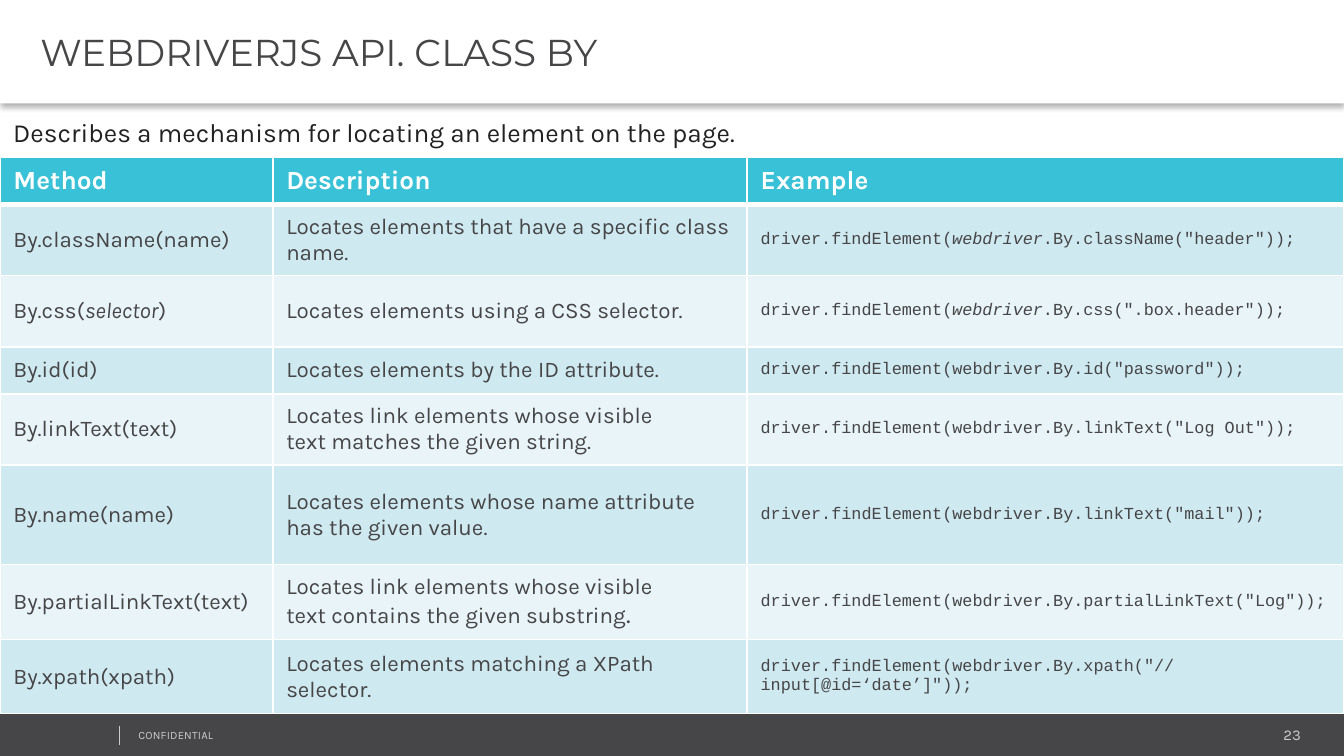
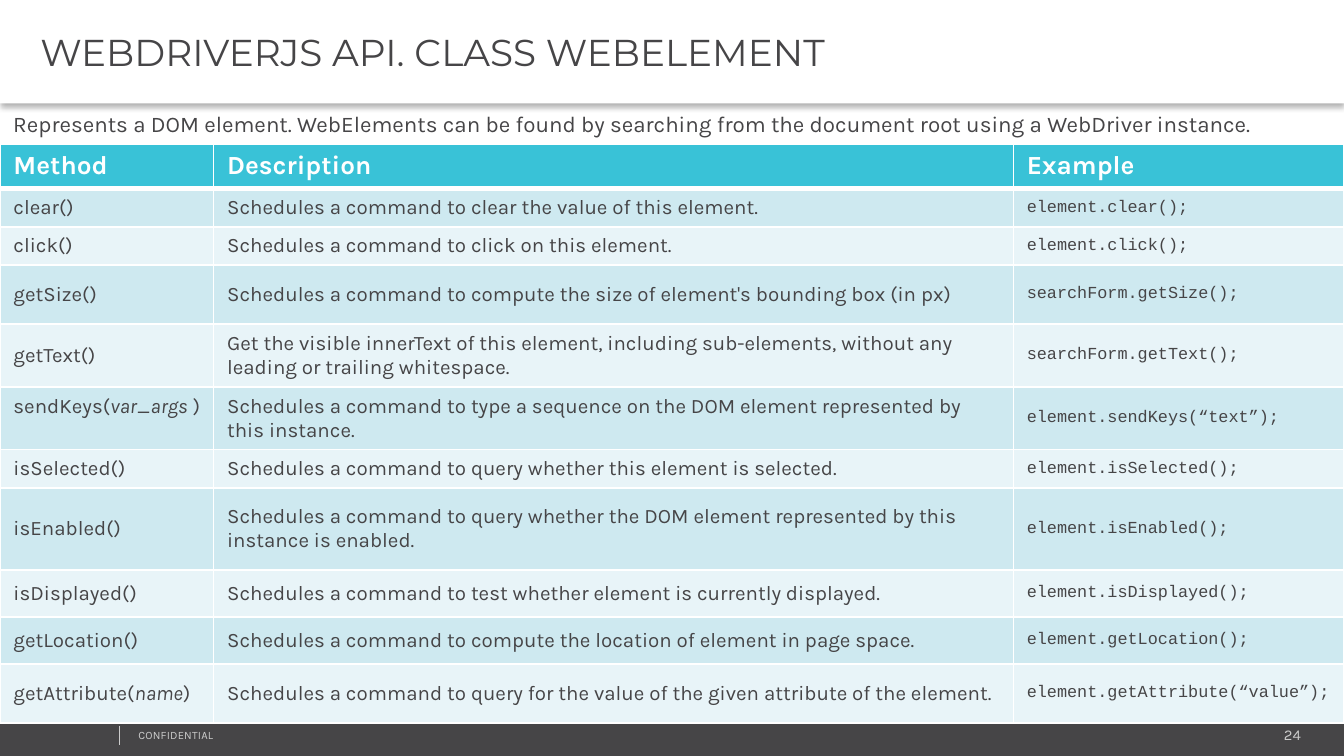
"""Build two slides of method tables for the WebDriverJS API."""
import lxml.etree
import pptx
import pptx.dml.color
import pptx.enum.shapes
import pptx.enum.text
import pptx.oxml
import pptx.oxml.ns
import pptx.util

Inches = pptx.util.Inches
Pt = pptx.util.Pt
RGBColor = pptx.dml.color.RGBColor
Kind = pptx.enum.shapes.MSO_SHAPE
Align = pptx.enum.text.PP_ALIGN
Anchor = pptx.enum.text.MSO_ANCHOR
qn = pptx.oxml.ns.qn

WHITE = RGBColor(0xFF, 0xFF, 0xFF)
DARK = RGBColor(0x46, 0x45, 0x47)
BLACK = RGBColor(0x21, 0x21, 0x21)
PALE = RGBColor(0xCC, 0xCC, 0xCC)
TEAL = RGBColor(0x39, 0xC2, 0xD7)
BANDS = [RGBColor(0xE8, 0xF4, 0xF8), RGBColor(0xCE, 0xE9, 0xF0)]
SANS, HEAD, CODE = "Karla", "Montserrat", "Courier New"
HARD = chr(160)

SHADE = """<a:effectLst xmlns:a="http://schemas.openxmlformats.org/drawingml/2006/main">
<a:outerShdw blurRad="39370" dist="25400" dir="5400000" algn="t" rotWithShape="0">
<a:srgbClr val="000000"><a:alpha val="30000"/></a:srgbClr></a:outerShdw></a:effectLst>"""
EDGE = """<a:{} xmlns:a="http://schemas.openxmlformats.org/drawingml/2006/main" w="{}">
<a:solidFill><a:srgbClr val="FFFFFF"/></a:solidFill></a:{}>"""

TOP = ("Method", "Description", "Example")
PAGES = [
    {
        "title": "WEBDRIVERJS API. CLASS BY", "page": "23",
        "lead": "Describes a mechanism for locating an element on the page.",
        "box": (0, 0.82, 9.64, 0.34), "size": 14, "tint": BLACK,
        "top": 1.17, "body": 12, "cols": [2.03, 3.53, 4.44],
        "rows": [0.35, 0.53, 0.53, 0.35, 0.53, 0.74, 0.56, 0.55],
        "cells": [
            TOP,
            ("By.className(name)~", "Locates elements that have a specific class name.",
             'driver.findElement(*webdriver*.By.className("header"));'),
            ("By.css(*selector*)", "Locates elements using a CSS selector.",
             'driver.findElement(*webdriver*.By.css(".box.header"));'),
            ("By.id(id)", "Locates elements by the ID attribute.",
             'driver.findElement(webdriver.By.id("password"));'),
            ("By.linkText(text)",
             "Locates link elements whose~visible text~matches the given string.",
             'driver.findElement(webdriver.By.linkText("Log Out"));'),
            ("By.name(name)", "Locates elements whose~name~attribute has the given value.",
             'driver.findElement(webdriver.By.linkText("mail"));'),
            ("By.partialLinkText(text)~",
             "Locates link elements whose~visible text~contains the given substring",
             'driver.findElement(webdriver.By.partialLinkText("Log"));'),
            ("By.xpath(xpath)~", "Locates elements matching a XPath selector.~",
             'driver.findElement(webdriver.By.xpath("//input[@id=‘date’]"));'),
        ],
    },
    {
        "title": "WEBDRIVERJS API. CLASS WEBELEMENT", "page": "24",
        "lead": "Represents a DOM element. WebElements can be found by searching "
                "from the document root using a WebDriver instance.",
        "box": (0, 0.77, 9.82, 0.3), "size": 12, "tint": DARK,
        "top": 1.07, "body": 11, "cols": [1.59, 5.95, 2.46],
        "rows": [0.33, 0.28, 0.28, 0.44, 0.46, 0.46, 0.28, 0.61, 0.35, 0.35, 0.44],
        "cells": [
            TOP,
            ("clear()", "Schedules a command to clear the~value~of this element.",
             "element.clear();"),
            ("click()", "Schedules a command to click on this element.",
             "element.click();"),
            ("getSize()~",
             "Schedules a command to compute the size of element's bounding box (in px)",
             "searchForm.getSize();"),
            ("getText()",
             "Get the visible innerText of this element, including sub-elements, "
             "without any leading or trailing whitespace.",
             "searchForm.getText();"),
            ("sendKeys(*var_args*~)~",
             "Schedules a command to type a sequence on the DOM element "
             "represented by this instance.",
             "element.sendKeys(“text”);"),
            ("isSelected()~",
             "Schedules a command to query whether this element is selected.",
             "element.isSelected();"),
            ("isEnabled()",
             "Schedules a command to query whether the DOM element represented "
             "by this instance is enabled.",
             "element.isEnabled();"),
            ("isDisplayed()~",
             "Schedules a command to test whether element is currently displayed.",
             "element.isDisplayed();"),
            ("getLocation()",
             "Schedules a command to compute the location of element in page space.",
             "element.getLocation();"),
            ("getAttribute(*name*)~",
             "Schedules a command to query for the value of the given attribute "
             "of the element.",
             "element.getAttribute(“value”);"),
        ],
    },
]


def style(run, size, face, tint, bold=False, slant=False):
    font = run.font
    font.size, font.name, font.bold, font.italic = Pt(size), face, bold, slant
    font.color.rgb = tint


def write(slide, box, text, size, tint, pad=(0.1, 0.05)):
    frame = slide.shapes.add_textbox(*map(Inches, box)).text_frame
    frame.word_wrap = True
    frame.auto_size = pptx.enum.text.MSO_AUTO_SIZE.SHAPE_TO_FIT_TEXT
    frame.margin_left = frame.margin_right = Inches(pad[0])
    frame.margin_top = frame.margin_bottom = Inches(pad[1])
    frame.text = text
    style(frame.paragraphs[0].runs[0], size, SANS, tint)
    return frame.paragraphs[0]


deck = pptx.Presentation()
deck.slide_width, deck.slide_height = Inches(10), Inches(10 * 9 / 16)
grids = []

for page in PAGES:
    slide = deck.slides.add_slide(deck.slide_layouts[6])
    for box, fill in (((0, 5.31, 10.01, 0.33), DARK), ((0, 0, 10, 0.77), WHITE)):
        band = slide.shapes.add_shape(Kind.RECTANGLE, *map(Inches, box))
        band.shadow.inherit = False
        band.fill.solid()
        band.fill.fore_color.rgb = fill
        band.line.fill.background()

    props = band.element.spPr
    props.remove(props.find(qn("a:effectLst")))
    props.append(pptx.oxml.parse_xml(SHADE))
    frame = band.text_frame
    frame.word_wrap = True
    frame.vertical_anchor = Anchor.MIDDLE
    frame.margin_left, frame.margin_right = Inches(0.3), Inches(0.07)
    frame.margin_top = frame.margin_bottom = Inches(0.04)
    frame.text = page["title"]
    para = frame.paragraphs[0]
    para.alignment = Align.LEFT
    para.space_before = Pt(4)
    style(para.runs[0], 20, HEAD, DARK)

    num = write(slide, (8.12, 5.36, 1.63, 0.21), page["page"], 8, PALE, (0.07, 0.04))
    num.alignment = Align.RIGHT
    note = write(slide, (0.96, 5.38, 2.53, 0.18), "CONFIDENTIAL", 6, PALE, (0.07, 0.04))
    note.runs[0].font._element.set("spc", "10")
    rule = slide.shapes.add_connector(
        pptx.enum.shapes.MSO_CONNECTOR.STRAIGHT,
        Inches(0.89), Inches(5.4), Inches(0.89), Inches(5.54))
    rule.line.color.rgb = PALE
    rule.line.width = Pt(0.25)
    lxml.etree.SubElement(rule.element.spPr, qn("a:effectLst"))

    write(slide, page["box"], page["lead"], page["size"], page["tint"])

    rows, cols = page["rows"], page["cols"]
    grid = slide.shapes.add_table(
        len(rows), len(cols), 0, Inches(page["top"]), Inches(10), Inches(sum(rows))).table
    grid.first_row = grid.horz_banding = False
    grids.append(grid)
    for col, width in zip(grid.columns, cols):
        col.width = Inches(width)
    for i, (high, texts) in enumerate(zip(rows, page["cells"])):
        grid.rows[i].height = Inches(high)
        for j, text in enumerate(texts):
            cell = grid.cell(i, j)
            cell.vertical_anchor = Anchor.MIDDLE
            for side in ("lnL", "lnR", "lnT", "lnB"):
                thick = (i, side) in ((0, "lnB"), (1, "lnT"))
                edge = EDGE.format(side, Pt(3 if thick else 1), side)
                cell._tc.get_or_add_tcPr().append(pptx.oxml.parse_xml(edge))
            cell.fill.solid()
            cell.fill.fore_color.rgb = BANDS[i % 2] if i else TEAL
            para = cell.text_frame.paragraphs[0]
            for k, part in enumerate(text.replace("~", HARD).split("*")):
                run = para.add_run()
                run.text = part
                if i == 0:
                    style(run, 14, SANS, WHITE, bold=True)
                elif j == 2:
                    style(run, 9, CODE, DARK, slant=k == 1)
                else:
                    style(run, page["body"], SANS, DARK, slant=k == 1)

dot = grids[0].cell(6, 1).text_frame.paragraphs[0].add_run()
dot.text = "."
style(dot, 14, SANS, DARK)

deck.save("out.pptx")
